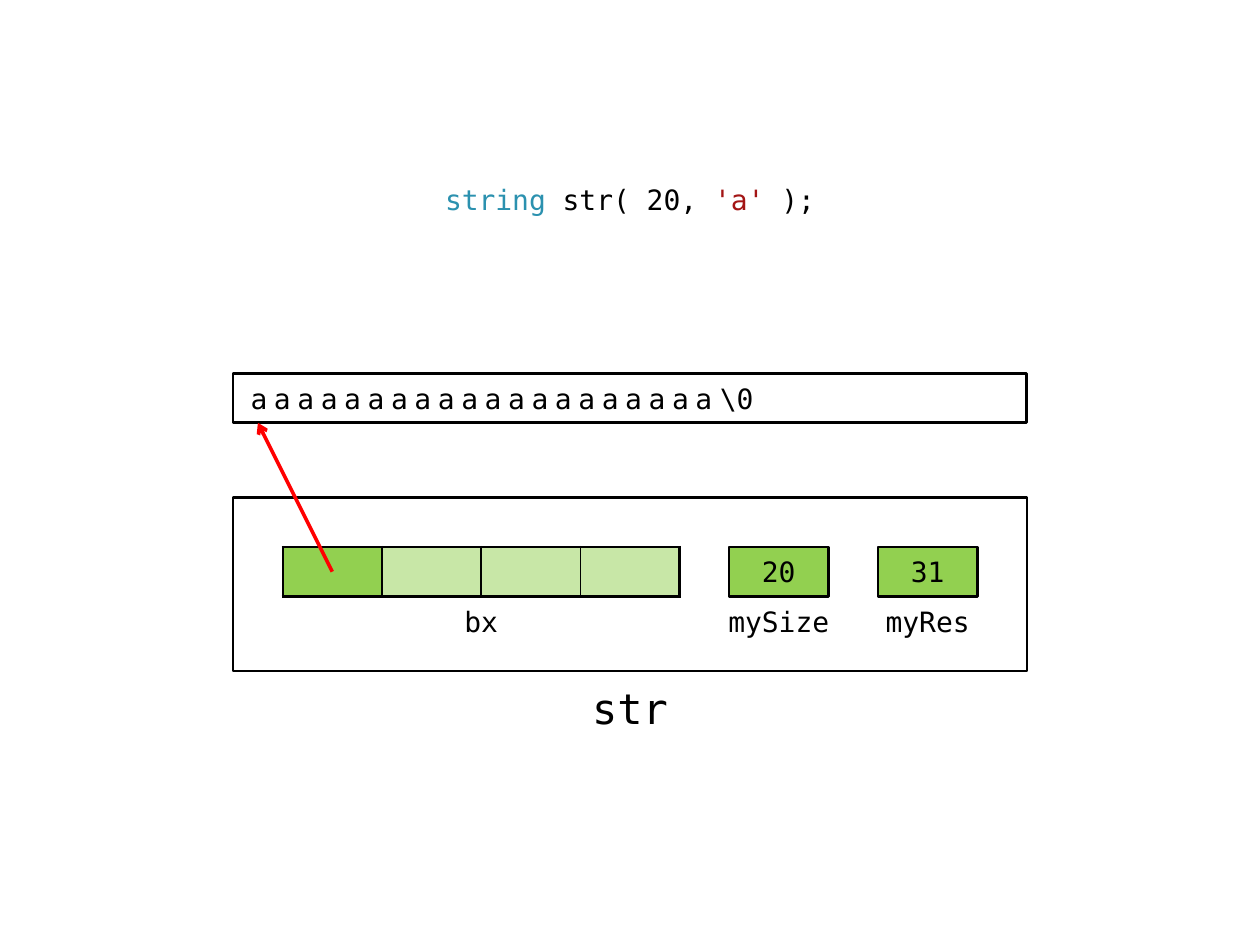
from lxml import etree
from pptx import Presentation
from pptx.dml.color import RGBColor
from pptx.enum.shapes import MSO_CONNECTOR, MSO_SHAPE
from pptx.enum.text import MSO_ANCHOR, PP_ALIGN
from pptx.oxml.ns import qn
from pptx.util import Pt

RECT, PROCESS = MSO_SHAPE.RECTANGLE, MSO_SHAPE.FLOWCHART_PROCESS
STRAIGHT = MSO_CONNECTOR.STRAIGHT
MIDDLE = MSO_ANCHOR.MIDDLE
LEFT, CENTER = PP_ALIGN.LEFT, PP_ALIGN.CENTER
WIDTH, HEIGHT, UNIT = 720, 540, 28.35
COLORS = {
    "black": "000000", "white": "FFFFFF", "green": "92D050",
    "red": "FF0000", "type": "2B91AF", "literal": "A31515",
}


def rgb(name):
    return RGBColor.from_string(COLORS[name])


class Diagram:
    font = "DejaVu Sans Mono"
    size = 16
    border = 1.5

    def __init__(self, slide):
        self.s = slide

    def point(self, x, y):
        return Pt(WIDTH / 2 + x * UNIT), Pt(HEIGHT / 2 + y * UNIT)

    def frame(self, x, y, w, h):
        return *self.point(x, y), Pt(w * UNIT), Pt(h * UNIT)

    def add_text(self, tf, runs, size=None, align=CENTER, inset=7.2):
        tf.word_wrap = True
        tf.vertical_anchor = MIDDLE
        tf.margin_left, tf.margin_right = Pt(inset), Pt(min(inset, 7.2))
        tf.margin_top = tf.margin_bottom = Pt(3.6)
        p = tf.paragraphs[0]
        p.alignment = align
        for text, color, spacing in runs:
            r = p.add_run()
            r.text = text
            r.font.name = self.font
            r.font.size = Pt(size or self.size)
            r.font.color.rgb = rgb(color)
            if spacing:
                r._r.get_or_add_rPr().set("spc", str(round(spacing * 100)))
        return p

    def code(self, runs, *box):
        sp = self.s.placeholders[1]
        sp.left, sp.top, sp.width, sp.height = self.frame(*box)
        p = self.add_text(sp.text_frame, runs, inset=0)
        p.space_before = Pt(0)
        pPr = p._p.get_or_add_pPr()
        pPr.set("marL", "0")
        pPr.set("indent", "0")
        etree.SubElement(pPr, qn("a:buNone"))

    def label(self, text, *box, size=None):
        sp = self.s.shapes.add_textbox(*self.frame(*box))
        self.add_text(sp.text_frame, [(text, "black", 0)], size, inset=0)

    def box(self, *box, kind=RECT, fill="white", runs=(), **style):
        sp = self.s.shapes.add_shape(kind, *self.frame(*box))
        sp.shadow.inherit = False
        sp.fill.solid()
        sp.fill.fore_color.rgb = rgb(fill)
        sp.line.color.rgb = rgb("black")
        sp.line.width = Pt(self.border)
        if runs:
            self.add_text(sp.text_frame, runs, **style)

    def cell_border(self, tcPr, side, width):
        ln = etree.SubElement(tcPr, qn(f"a:ln{side}"), w=str(Pt(width)))
        fill = etree.SubElement(ln, qn("a:solidFill"))
        etree.SubElement(fill, qn("a:srgbClr"), val=COLORS["black"])

    def buffer(self, count, *box):
        table = self.s.shapes.add_table(1, count, *self.frame(*box)).table
        table.first_row = table.horz_banding = False
        for i, cell in enumerate(table.rows[0].cells):
            cell.margin_left = cell.margin_right = 0
            cell.margin_top = cell.margin_bottom = 0
            tcPr = cell._tc.get_or_add_tcPr()
            outer = {"L": i == 0, "R": i == count - 1, "T": True, "B": True}
            for side, is_outer in outer.items():
                self.cell_border(tcPr, side, self.border if is_outer else 1)
            cell.fill.solid()
            cell.fill.fore_color.rgb = rgb("green")
            if i:
                color = tcPr.find(f"{qn('a:solidFill')}/{qn('a:srgbClr')}")
                etree.SubElement(color, qn("a:alpha"), val="50000")

    def arrow(self, start, end):
        c = self.s.shapes.add_connector(
            STRAIGHT, *self.point(*start), *self.point(*end))
        c.line.color.rgb = rgb("red")
        c.line.width = Pt(2)
        spPr = c._element.spPr
        etree.SubElement(spPr.get_or_add_ln(), qn("a:tailEnd"), type="arrow")
        etree.SubElement(spPr, qn("a:effectLst"))


def main():
    prs = Presentation()
    prs.slide_width, prs.slide_height = Pt(WIDTH), Pt(HEIGHT)
    s = prs.slides.add_slide(prs.slide_layouts[1])
    title = s.shapes.title._element
    title.getparent().remove(title)
    d = Diagram(s)

    d.code([("string ", "type", 0), ("str( 20, ", "black", 0),
            ("'a' ", "literal", 0), (");", "black", 0)], -4, -6, 8, 1)
    d.label("str", -1.5, 4, 3, 1.5, size=24)
    d.box(-8, 0.5, 16, 3.5, kind=PROCESS)
    d.label("bx", -4, 2.5, 2, 1)
    for name, value, x in (("mySize", "20", 2), ("myRes", "31", 5)):
        d.box(x, 1.5, 2, 1, fill="green", runs=[(value, "black", 0)])
        d.label(name, x - 0.5, 2.5, 3, 1)
    d.buffer(4, -7, 1.5, 8, 1)
    d.box(-8, -2, 16, 1, align=LEFT, inset=10,
          runs=[("a" * 20, "black", 3.8), ("\\", "black", -1.5),
                ("0", "black", 0)])
    d.arrow((-6, 2), (-7.5, -1))
    prs.save("out.pptx")


if __name__ == "__main__":
    main()
